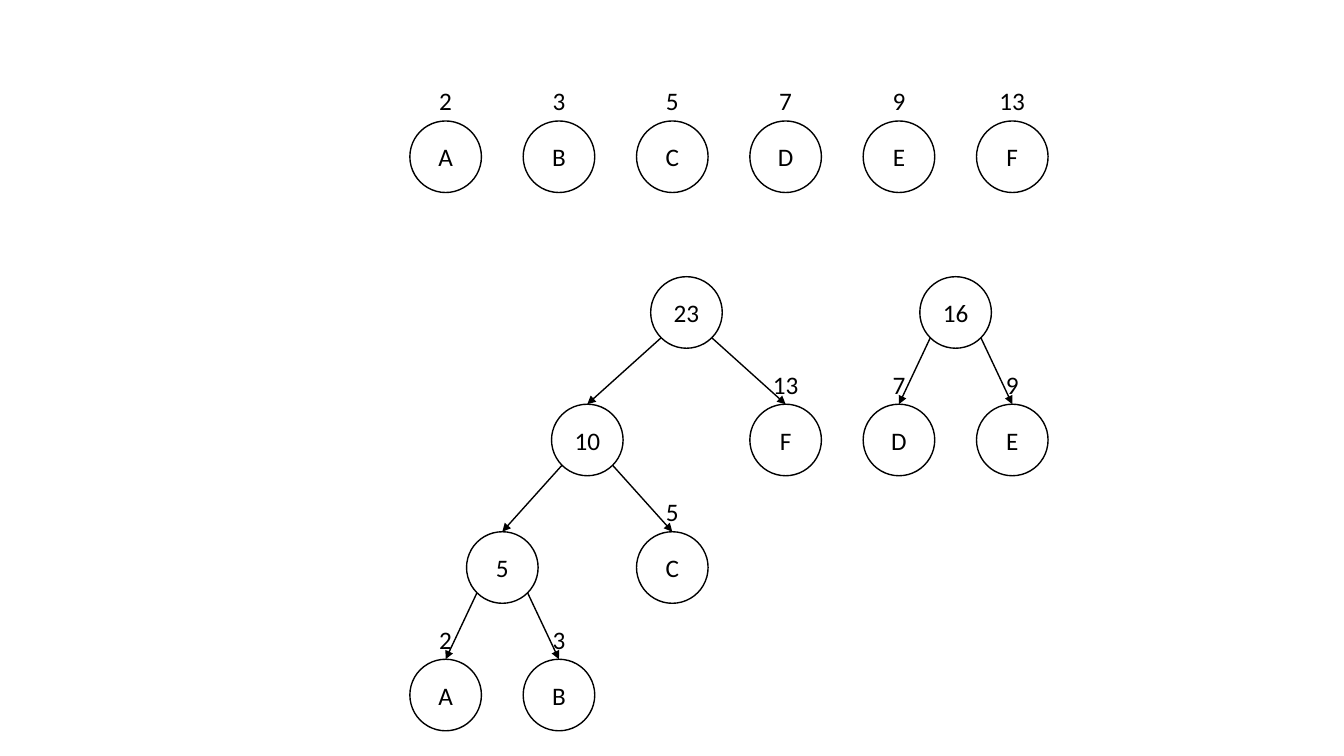
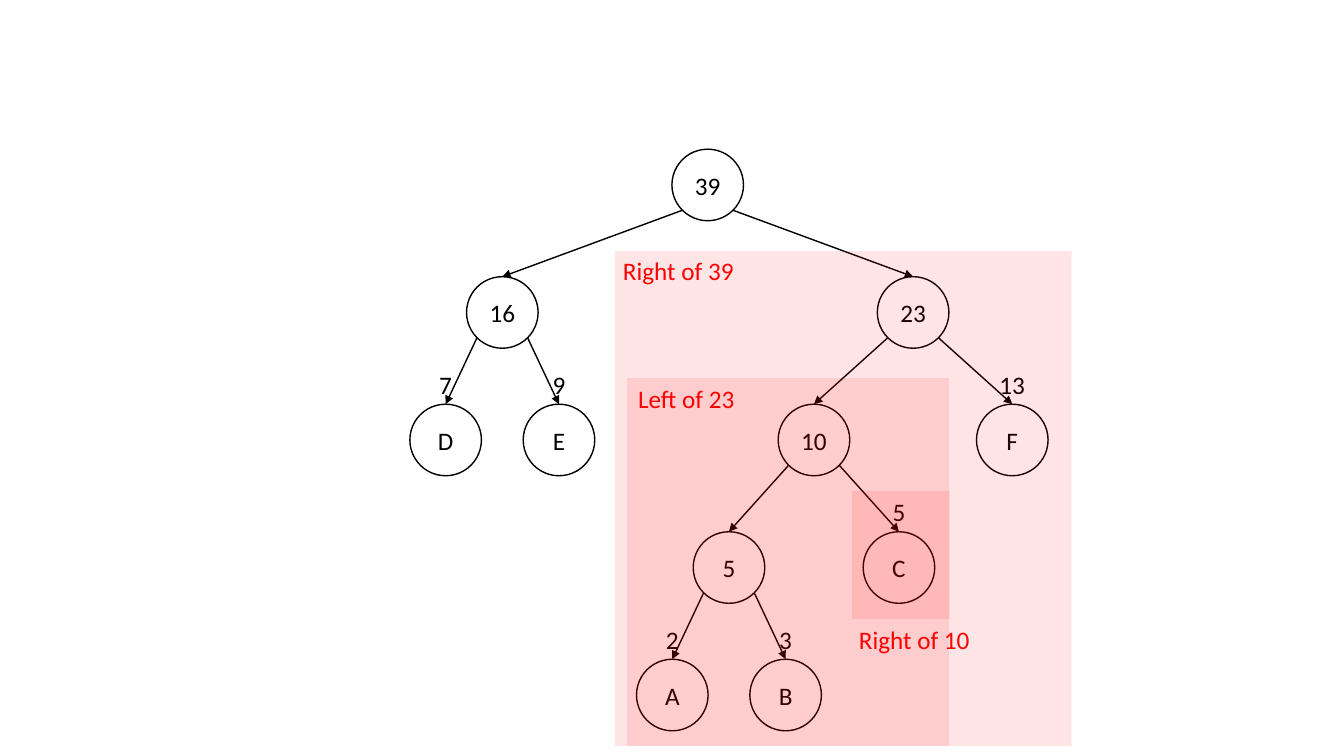
from dataclasses import dataclass
from math import sqrt

from lxml.etree import SubElement
from pptx import Presentation
from pptx.dml.color import RGBColor
from pptx.enum.shapes import MSO_CONNECTOR, MSO_SHAPE
from pptx.enum.text import MSO_ANCHOR, PP_ALIGN
from pptx.oxml.ns import qn
from pptx.util import Inches, Pt


@dataclass(frozen=True)
class Theme:
    ink: RGBColor = RGBColor(0, 0, 0)
    paper: RGBColor = RGBColor(255, 255, 255)
    accent: RGBColor = RGBColor(255, 0, 0)
    font: str = "Calibri"
    text_size: int = 18
    line_width: int = 1
    region_opacity: int = 10  # percent


@dataclass(frozen=True)
class Node:
    weight: int
    letter: str = ""
    children: tuple = ()


def merge(left, right):
    return Node(left.weight + right.weight, children=(left, right))


THEME = Theme()

# Layout in inches: leaves stand on even columns, tree levels on even rows
DIAMETER = 0.71
TEXT_HEIGHT = 0.4
WEIGHT_WIDTH = 0.46
FIRST_COLUMN = 4.42
COLUMN_PITCH = (10.04 - FIRST_COLUMN) / 5
FIRST_LEVEL = 1.48
LEVEL_PITCH = (6.54 - FIRST_LEVEL) / 4
LEAF_ROW_TOP = 1.2
BOTTOM_LEFT_SITE, BOTTOM_RIGHT_SITE, TOP_SITE = 3, 5, 0

# Huffman tree data
LEAVES = [Node(weight, letter)
          for letter, weight in zip("ABCDEF", (2, 3, 5, 7, 9, 13))]
A, B, C, D, E, F = LEAVES
TREE_16 = merge(D, E)
TREE_23 = merge(merge(merge(A, B), C), F)
TREE_39 = merge(TREE_16, TREE_23)

# Highlighted subtrees: left, top, width, height
REGIONS = [(6.1, 2.49, 4.53, 4.91), (6.22, 3.75, 3.19, 3.65),
           (8.45, 4.87, 0.97, 1.27)]
# Their captions: text, left, top, width
CAPTIONS = [("Right of 39", 6.08, 2.48, 1.31), ("Left of 23", 6.23, 3.75, 1.18),
            ("Right of 10", 8.42, 6.14, 1.31)]


def set_values(target, values):
    for name, value in values.items():
        setattr(target, name, value)


def write_text(shape, text, color=THEME.ink, align=PP_ALIGN.CENTER, inset=0.0):
    frame = shape.text_frame
    margins = {f"margin_{side}": Inches(inset) for side in ("left", "right")}
    set_values(frame, {"word_wrap": False,
                       "vertical_anchor": MSO_ANCHOR.MIDDLE, **margins})
    paragraph = frame.paragraphs[0]
    paragraph.alignment = align
    run = paragraph.add_run()
    run.text = text
    set_values(run.font, {"name": THEME.font, "size": Pt(THEME.text_size)})
    run.font.color.rgb = color


def add_text(slide, box, text, **style):
    shape = slide.shapes.add_textbox(*map(Inches, box))
    write_text(shape, text, **style)


def add_node(slide, node, center, top):
    """Draw one circle, with the weight above it if it is a leaf."""
    circle = slide.shapes.add_shape(
        MSO_SHAPE.OVAL, Inches(center - DIAMETER / 2), Inches(top),
        Inches(DIAMETER), Inches(DIAMETER))
    circle.shadow.inherit = False
    circle.fill.solid()
    circle.fill.fore_color.rgb = THEME.paper
    circle.line.color.rgb = THEME.ink
    circle.line.width = Pt(THEME.line_width)
    write_text(circle, node.letter or str(node.weight))
    if node.letter:
        add_text(slide, (center - WEIGHT_WIDTH / 2, top - TEXT_HEIGHT,
                         WEIGHT_WIDTH, TEXT_HEIGHT), str(node.weight))
    return circle


def add_arrow(slide, parent, child, site):
    """Join a lower corner of the parent circle to the top of the child."""
    reach = parent.width / 2 / sqrt(2)
    side = -1 if site == BOTTOM_LEFT_SITE else 1
    arrow = slide.shapes.add_connector(
        MSO_CONNECTOR.STRAIGHT,
        int(parent.left + parent.width / 2 + side * reach),
        int(parent.top + parent.height / 2 + reach),
        child.left + child.width // 2, child.top)
    arrow.line.color.rgb = THEME.ink
    arrow.line.width = Pt(THEME.line_width)
    # Glue both ends, add the arrowhead and drop the shadow
    element = arrow._element
    glue = element.nvCxnSpPr.cNvCxnSpPr
    for tag, shape, index in (("a:stCxn", parent, site),
                              ("a:endCxn", child, TOP_SITE)):
        SubElement(glue, qn(tag), id=str(shape.shape_id), idx=str(index))
    SubElement(arrow.line._get_or_add_ln(), qn("a:tailEnd"), type="triangle")
    SubElement(element.spPr, qn("a:effectLst"))


def add_tree(slide, node, column, level):
    """Draw a subtree; return its circle, its centre and the next free column."""
    branches = []
    next_column = column
    for child in node.children:
        circle, center, next_column = add_tree(slide, child, next_column, level + 1)
        branches.append((circle, center))
    if branches:
        center = sum(place for _, place in branches) / len(branches)
    else:
        center = FIRST_COLUMN + column * COLUMN_PITCH
        next_column = column + 1
    parent = add_node(slide, node, center, FIRST_LEVEL + level * LEVEL_PITCH)
    for (child, _), site in zip(branches, (BOTTOM_LEFT_SITE, BOTTOM_RIGHT_SITE)):
        add_arrow(slide, parent, child, site)
    return parent, center, next_column


def add_region(slide, box):
    region = slide.shapes.add_shape(MSO_SHAPE.RECTANGLE, *map(Inches, box))
    region.shadow.inherit = False
    region.fill.solid()
    region.fill.fore_color.rgb = THEME.accent
    region.line.fill.background()
    color = region._element.spPr.find(".//" + qn("a:srgbClr"))
    SubElement(color, qn("a:alpha"), val=str(THEME.region_opacity * 1000))


def build_forest_slide(slide):
    # Row of sorted leaves
    for column, leaf in enumerate(LEAVES):
        add_node(slide, leaf, FIRST_COLUMN + column * COLUMN_PITCH, LEAF_ROW_TOP)
    # Two partial trees side by side
    column = 0
    for tree in (TREE_23, TREE_16):
        column = add_tree(slide, tree, column, level=1)[-1]


def build_code_slide(slide):
    # Whole tree
    add_tree(slide, TREE_39, column=0, level=0)
    # Nested highlights and their captions
    for box in REGIONS:
        add_region(slide, box)
    for text, left, top, width in CAPTIONS:
        add_text(slide, (left, top, width, TEXT_HEIGHT), text,
                 color=THEME.accent, align=PP_ALIGN.LEFT, inset=0.1)


def main():
    presentation = Presentation()
    set_values(presentation, {"slide_width": Inches(13.33),
                              "slide_height": Inches(7.5)})
    blank = presentation.slide_layouts[6]
    for build in (build_forest_slide, build_code_slide):
        build(presentation.slides.add_slide(blank))
    presentation.save("out.pptx")


if __name__ == "__main__":
    main()
